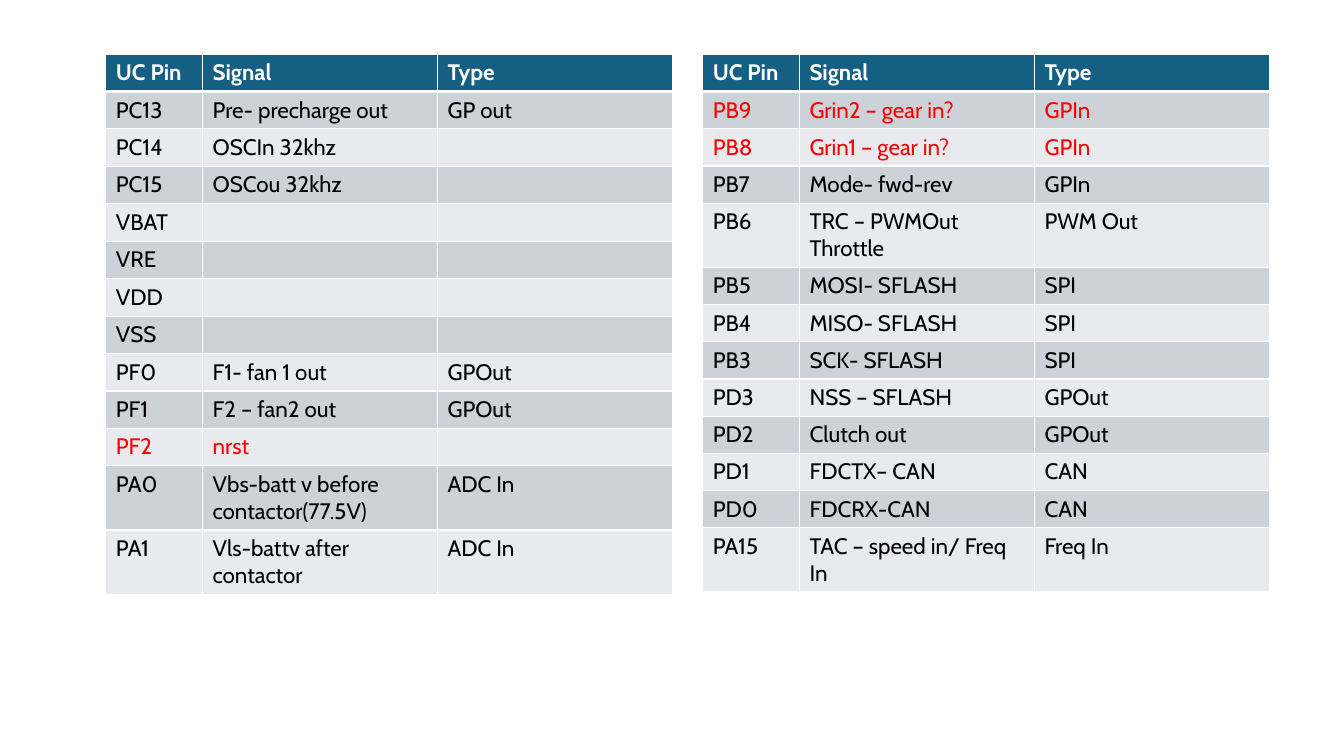
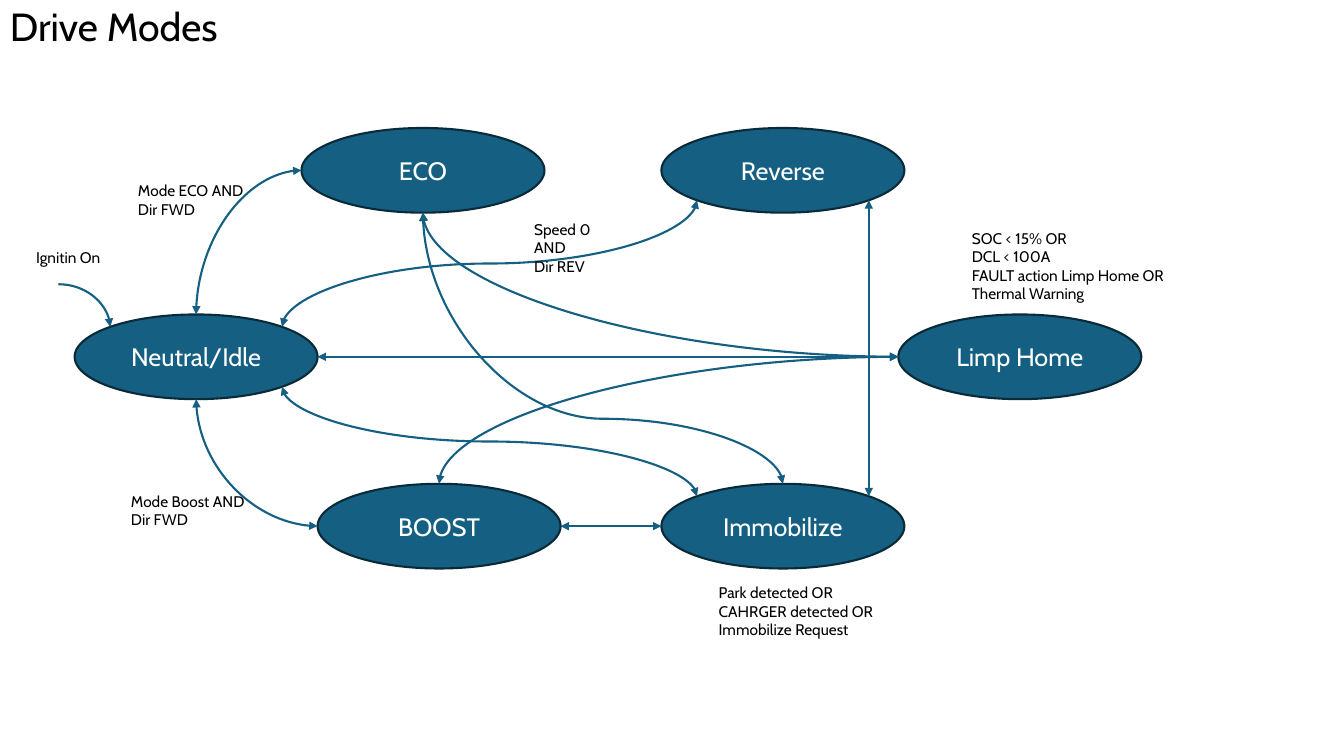
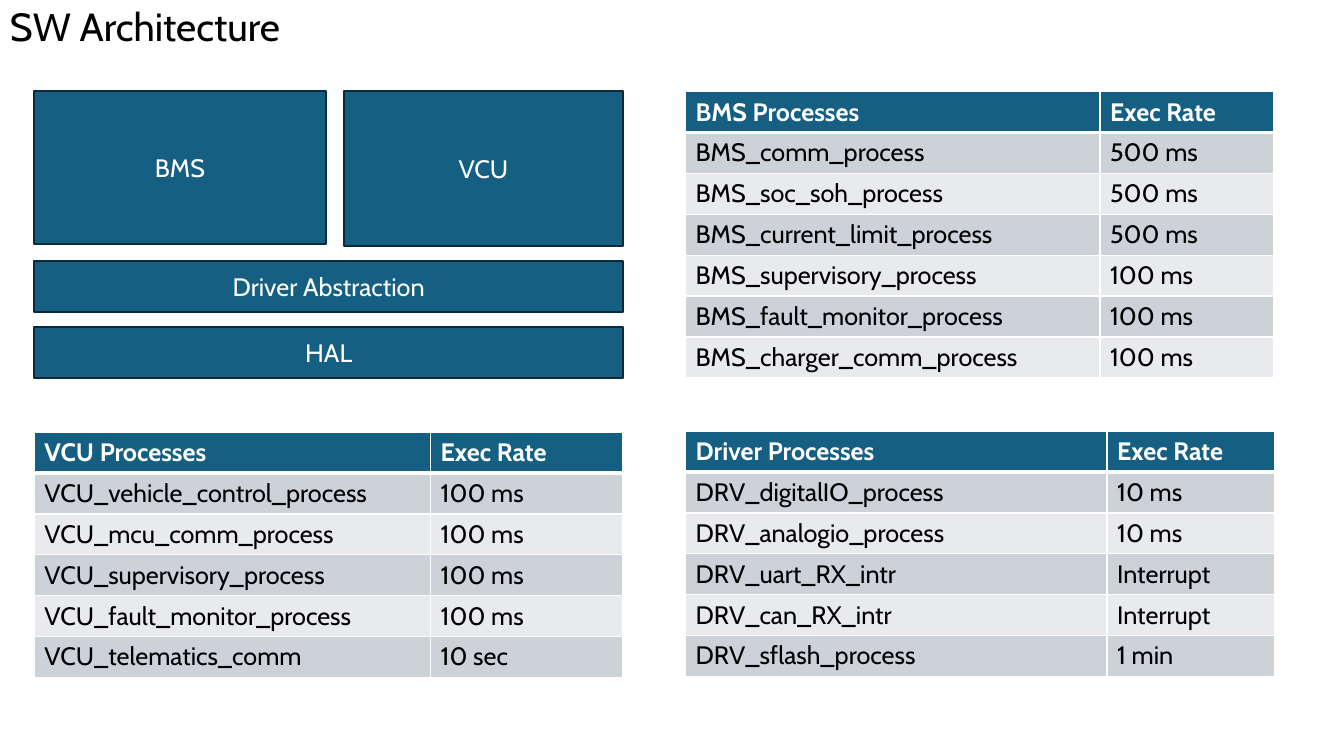
import dataclasses
import math
import typing

import lxml.etree
import pptx
import pptx.dml.color
import pptx.enum.dml
import pptx.enum.shapes
import pptx.enum.text
import pptx.oxml.ns
import pptx.shapes.autoshape
import pptx.shapes.connector
import pptx.slide
import pptx.table
import pptx.text.text
import pptx.util

EMU_PER_PX = 9144  # 100 px to the inch
SHAPE = pptx.enum.shapes.MSO_SHAPE
ALIGN = pptx.enum.text.PP_ALIGN
ANCHOR = pptx.enum.text.MSO_ANCHOR
qn = pptx.oxml.ns.qn


@dataclasses.dataclass(frozen=True)
class Theme:
    font: str = "Cabin"
    accent: str = "156082"
    outline: str = "092A39"
    text: str = "000000"
    light: str = "FFFFFF"
    alert: str = "FF0000"
    bands: tuple[str, str] = ("CCD2D8", "E8EAED")
    title_size: int = 28
    body_size: int = 18
    pin_size: int = 16
    note_size: int = 11
    line_width: float = 1.5
    border: int = 1
    header_border: int = 3


THEME = Theme()


class Box(typing.NamedTuple):
    left: int
    top: int
    width: int
    height: int


class Block(typing.NamedTuple):
    text: str
    box: Box


class Note(typing.NamedTuple):
    text: str
    box: Box
    wraps: bool = True


class Site(typing.NamedTuple):
    """A connection site of an ellipse, numbered anticlockwise from the top."""
    mode: str
    index: int


class Transition(typing.NamedTuple):
    start: Site
    end: Site
    bend: int = 50


@dataclasses.dataclass(frozen=True)
class Grid:
    left: int
    top: int
    height: int
    columns: tuple[int, ...]
    rows: tuple[tuple[str, ...], ...]
    size: int = THEME.body_size
    alerts: tuple[str, ...] = ()


TOP, TOP_LEFT, LEFT, BOTTOM_LEFT, BOTTOM, BOTTOM_RIGHT, RIGHT, TOP_RIGHT = range(8)

PIN_COLUMNS = (96, 233, 233)
PIN_HEADER = ("UC Pin", "Signal", "Type")
PIN_GRIDS = (
    Grid(105, 54, 364, PIN_COLUMNS, (
        PIN_HEADER,
        ("PC13", "Pre- precharge out", "GP out"),
        ("PC14", "OSCIn 32khz", ""),
        ("PC15", "OSCou 32khz", ""),
        ("VBAT", "", ""),
        ("VRE", "", ""),
        ("VDD", "", ""),
        ("VSS", "", ""),
        ("PF0", "F1- fan 1 out", "GPOut"),
        ("PF1", "F2 – fan2 out", "GPOut"),
        ("PF2", "nrst", ""),
        ("PA0", "Vbs-batt v before contactor(77.5V)", "ADC In"),
        ("PA1", "Vls-battv after contactor", "ADC In"),
    ), THEME.pin_size, ("PF2",)),
    Grid(697, 54, 364, PIN_COLUMNS, (
        PIN_HEADER,
        ("PB9", "Grin2 – gear in?", "GPIn"),
        ("PB8", "Grin1 – gear in?", "GPIn"),
        ("PB7", "Mode- fwd-rev", "GPIn"),
        ("PB6", "TRC – PWMOut Throttle", "PWM Out"),
        ("PB5", "MOSI- SFLASH", "SPI"),
        ("PB4", "MISO- SFLASH", "SPI"),
        ("PB3", "SCK- SFLASH", "SPI"),
        ("PD3", "NSS – SFLASH", "GPOut"),
        ("PD2", "Clutch out", "GPOut"),
        ("PD1", "FDCTX– CAN", "CAN"),
        ("PD0", "FDCRX-CAN", "CAN"),
        ("PA15", "TAC – speed in/ Freq In", "Freq In"),
    ), THEME.pin_size, ("PB9", "PB8")),
)

PROCESS_GRIDS = (
    Grid(680, 91, 284, (411, 172), (
        ("BMS Processes", "Exec Rate"),
        ("BMS_comm_process", "500 ms"),
        ("BMS_soc_soh_process", "500 ms"),
        ("BMS_current_limit_process", "500 ms"),
        ("BMS_supervisory_process", "100 ms"),
        ("BMS_fault_monitor_process", "100 ms"),
        ("BMS_charger_comm_process", "100 ms"),
    )),
    Grid(680, 428, 243, (418, 166), (
        ("Driver Processes", "Exec Rate"),
        ("DRV_digitalIO_process", "10 ms"),
        ("DRV_analogio_process", "10 ms"),
        ("DRV_uart_RX_intr", "Interrupt"),
        ("DRV_can_RX_intr", "Interrupt"),
        ("DRV_sflash_process", "1 min"),
    )),
    Grid(34, 429, 243, (393, 190), (
        ("VCU Processes", "Exec Rate"),
        ("VCU_vehicle_control_process", "100 ms"),
        ("VCU_mcu_comm_process", "100 ms"),
        ("VCU_supervisory_process", "100 ms"),
        ("VCU_fault_monitor_process", "100 ms"),
        ("VCU_telematics_comm", "10 sec"),
    )),
)

LAYERS = (
    Block("HAL", Box(34, 324, 584, 51)),
    Block("Driver Abstraction", Box(34, 259, 584, 51)),
    Block("BMS", Box(34, 90, 289, 152)),
    Block("VCU", Box(341, 90, 277, 154)),
)

MODE_SIZE = (241, 84)
MODES = tuple(Block(text, Box(left, top, *MODE_SIZE)) for text, left, top in (
    ("Neutral/Idle", 74, 312),
    ("Reverse", 656, 127),
    ("ECO", 299, 127),
    ("BOOST", 315, 480),
    ("Limp Home", 891, 312),
    ("Immobilize", 656, 480),
))

IGNITION_POINT = (58, 282)
IGNITION_SITE = Site("Neutral/Idle", TOP_LEFT)
TRANSITIONS = (
    Transition(Site("Neutral/Idle", TOP), Site("ECO", LEFT)),
    Transition(Site("Neutral/Idle", TOP_RIGHT), Site("Reverse", BOTTOM_LEFT)),
    Transition(Site("Neutral/Idle", RIGHT), Site("Limp Home", LEFT)),
    Transition(Site("Neutral/Idle", BOTTOM), Site("BOOST", LEFT)),
    Transition(Site("Neutral/Idle", BOTTOM_RIGHT), Site("Immobilize", TOP_LEFT)),
    Transition(Site("BOOST", RIGHT), Site("Immobilize", LEFT)),
    Transition(Site("BOOST", TOP), Site("Limp Home", LEFT)),
    Transition(Site("Immobilize", TOP_RIGHT), Site("Reverse", BOTTOM_RIGHT)),
    Transition(Site("Immobilize", TOP), Site("ECO", BOTTOM), bend=24),
    Transition(Site("ECO", BOTTOM), Site("Limp Home", LEFT)),
)

NOTES = (
    Note("Ignitin On", Box(26, 241, 84, 29), wraps=False),
    Note("Mode ECO AND\nDir FWD", Box(127, 175, 125, 47), wraps=False),
    Note("Speed 0 AND\nDir REV", Box(520, 213, 107, 47)),
    Note("Mode Boost AND\nDir FWD", Box(120, 483, 135, 47)),
    Note("SOC < 15% OR\nDCL < 100A\nFAULT action Limp Home OR\nThermal Warning",
         Box(954, 222, 227, 103)),
    Note("Park detected OR\nCAHRGER detected OR\nImmobilize Request",
         Box(703, 574, 175, 66), wraps=False),
)


def emu(px: float) -> pptx.util.Emu:
    return pptx.util.Emu(round(px * EMU_PER_PX))


def rgb(value: str) -> pptx.dml.color.RGBColor:
    return pptx.dml.color.RGBColor.from_string(value)


def write_text(frame: pptx.text.text.TextFrame, text: str, *, size: int,
               color: str = THEME.text, bold: bool = False,
               align: ALIGN = ALIGN.LEFT) -> None:
    """Write one paragraph for each line of the text."""
    for number, line in enumerate(text.split("\n")):
        paragraph = frame.add_paragraph() if number else frame.paragraphs[0]
        paragraph.alignment = align
        if not line:
            lxml.etree.SubElement(paragraph._p, qn("a:endParaRPr"), sz=str(size * 100))
            continue
        run = paragraph.add_run()
        run.text = line
        run.font.name = THEME.font
        run.font.size = pptx.util.Pt(size)
        run.font.bold = bold
        run.font.color.rgb = rgb(color)


def add_text_box(slide: pptx.slide.Slide, text: str, box: Box, *, size: int,
                 wraps: bool = True) -> pptx.text.text.TextFrame:
    frame = slide.shapes.add_textbox(*map(emu, box)).text_frame
    frame.word_wrap = wraps
    write_text(frame, text, size=size)
    return frame


def add_title(slide: pptx.slide.Slide, text: str) -> None:
    frame = add_text_box(slide, text, Box(0, 3, 631, 61), size=THEME.title_size)
    frame.paragraphs[0].line_spacing = 0.9
    frame.paragraphs[0].space_before = pptx.util.Pt(10)


def add_block(slide: pptx.slide.Slide, block: Block,
              kind: SHAPE) -> pptx.shapes.autoshape.Shape:
    shape = slide.shapes.add_shape(kind, *map(emu, block.box))
    shape.shadow.inherit = False
    shape.fill.solid()
    shape.fill.fore_color.rgb = rgb(THEME.accent)
    shape.line.color.rgb = rgb(THEME.outline)
    shape.line.width = pptx.util.Pt(THEME.line_width)
    shape.text_frame.vertical_anchor = ANCHOR.MIDDLE
    write_text(shape.text_frame, block.text, size=THEME.body_size,
               color=THEME.light, align=ALIGN.CENTER)
    return shape


def set_borders(cell: pptx.table._Cell, top: int, bottom: int) -> None:
    properties = cell._tc.get_or_add_tcPr()
    widths = {"lnL": THEME.border, "lnR": THEME.border, "lnT": top, "lnB": bottom}
    for position, (side, width) in enumerate(widths.items()):
        line = lxml.etree.Element(qn(f"a:{side}"), w=str(pptx.util.Pt(width)))
        fill = lxml.etree.SubElement(line, qn("a:solidFill"))
        lxml.etree.SubElement(fill, qn("a:srgbClr"), val=THEME.light)
        properties.insert(position, line)


def add_grid(slide: pptx.slide.Slide, grid: Grid) -> None:
    box = Box(grid.left, grid.top, sum(grid.columns), grid.height)
    table = slide.shapes.add_table(len(grid.rows), len(grid.columns), *map(emu, box)).table
    for column, width in zip(table.columns, grid.columns):
        column.width = emu(width)
    for row_number, texts in enumerate(grid.rows):
        is_header = row_number == 0
        table.rows[row_number].height = emu(grid.height / len(grid.rows))
        fill = THEME.accent if is_header else THEME.bands[(row_number - 1) % 2]
        color = THEME.alert if texts[0] in grid.alerts else THEME.text
        for column_number, text in enumerate(texts):
            cell = table.cell(row_number, column_number)
            cell.fill.solid()
            cell.fill.fore_color.rgb = rgb(fill)
            set_borders(cell,
                        top=THEME.header_border if row_number == 1 else THEME.border,
                        bottom=THEME.header_border if is_header else THEME.border)
            write_text(cell.text_frame, text, size=grid.size, bold=is_header,
                       color=THEME.light if is_header else color)


def site_point(box: Box, index: int) -> tuple[float, float]:
    angle = math.radians(90 + 45 * index)
    return (box.left + box.width / 2 * (1 + math.cos(angle)),
            box.top + box.height / 2 * (1 - math.sin(angle)))


def add_curve(slide: pptx.slide.Slide, start: tuple[float, float],
              end: tuple[float, float], *, leaves_upright: bool, arrives_upright: bool,
              bend: int = 50, both_heads: bool = True) -> pptx.shapes.connector.Connector:
    """Draw a curve; one that leaves upright is a level curve turned by a quarter."""
    across, down = end[0] - start[0], end[1] - start[1]
    rotation = 0
    if leaves_upright:
        rotation = 90 if across > 0 > down else 270
        across, down = (down, -across) if rotation == 90 else (-down, across)
    center_x, center_y = (start[0] + end[0]) / 2, (start[1] + end[1]) / 2
    connector = slide.shapes.add_connector(
        pptx.enum.shapes.MSO_CONNECTOR.CURVE,
        emu(center_x - across / 2), emu(center_y - down / 2),
        emu(center_x + across / 2), emu(center_y + down / 2))
    connector.line.color.rgb = rgb(THEME.accent)
    connector.line.width = pptx.util.Pt(THEME.line_width)

    properties = connector._element.spPr
    if rotation:
        properties.find(qn("a:xfrm")).set("rot", str(rotation * 60000))
    geometry = properties.find(qn("a:prstGeom"))
    if leaves_upright != arrives_upright:
        geometry.set("prst", "curvedConnector2")
    elif bend != 50:
        guides = geometry.find(qn("a:avLst"))
        if guides is None:
            guides = lxml.etree.SubElement(geometry, qn("a:avLst"))
        lxml.etree.SubElement(guides, qn("a:gd"), name="adj1", fmla=f"val {bend * 1000}")
    line = properties.find(qn("a:ln"))
    for tag in ("a:headEnd", "a:tailEnd") if both_heads else ("a:tailEnd",):
        lxml.etree.SubElement(line, qn(tag), type="triangle")
    lxml.etree.SubElement(properties, qn("a:effectLst"))
    return connector


def glue(connector: pptx.shapes.connector.Connector, tag: str,
         shape: pptx.shapes.autoshape.Shape, index: int) -> None:
    """Tie one end (stCxn or endCxn) of the connector to a site of the shape."""
    lxml.etree.SubElement(connector._element.nvCxnSpPr.cNvCxnSpPr, qn(f"a:{tag}"),
                          id=str(shape.shape_id), idx=str(index))


def is_upright(site: Site) -> bool:
    return site.index not in (LEFT, RIGHT)


def draw_pins(slide: pptx.slide.Slide) -> None:
    for grid in PIN_GRIDS:
        add_grid(slide, grid)


def draw_drive_modes(slide: pptx.slide.Slide) -> None:
    add_title(slide, "Drive Modes")
    boxes = {mode.text: mode.box for mode in MODES}
    shapes = {mode.text: add_block(slide, mode, SHAPE.OVAL) for mode in MODES}

    ignition = add_curve(slide, IGNITION_POINT,
                         site_point(boxes[IGNITION_SITE.mode], IGNITION_SITE.index),
                         leaves_upright=False, arrives_upright=True, both_heads=False)
    glue(ignition, "endCxn", shapes[IGNITION_SITE.mode], IGNITION_SITE.index)
    for start, end, bend in TRANSITIONS:
        curve = add_curve(slide, site_point(boxes[start.mode], start.index),
                          site_point(boxes[end.mode], end.index),
                          leaves_upright=is_upright(start),
                          arrives_upright=is_upright(end), bend=bend)
        glue(curve, "stCxn", shapes[start.mode], start.index)
        glue(curve, "endCxn", shapes[end.mode], end.index)
    for note in NOTES:
        add_text_box(slide, note.text, note.box, size=THEME.note_size, wraps=note.wraps)


def draw_architecture(slide: pptx.slide.Slide) -> None:
    for layer in LAYERS:
        add_block(slide, layer, SHAPE.RECTANGLE)
    add_title(slide, "SW Architecture")
    for grid in PROCESS_GRIDS:
        add_grid(slide, grid)


def main() -> None:
    presentation = pptx.Presentation()
    presentation.slide_width = emu(1333)
    presentation.slide_height = emu(750)
    blank_layout = presentation.slide_layouts[6]
    for draw in (draw_pins, draw_drive_modes, draw_architecture):
        draw(presentation.slides.add_slide(blank_layout))
    presentation.save("out.pptx")


if __name__ == "__main__":
    main()
